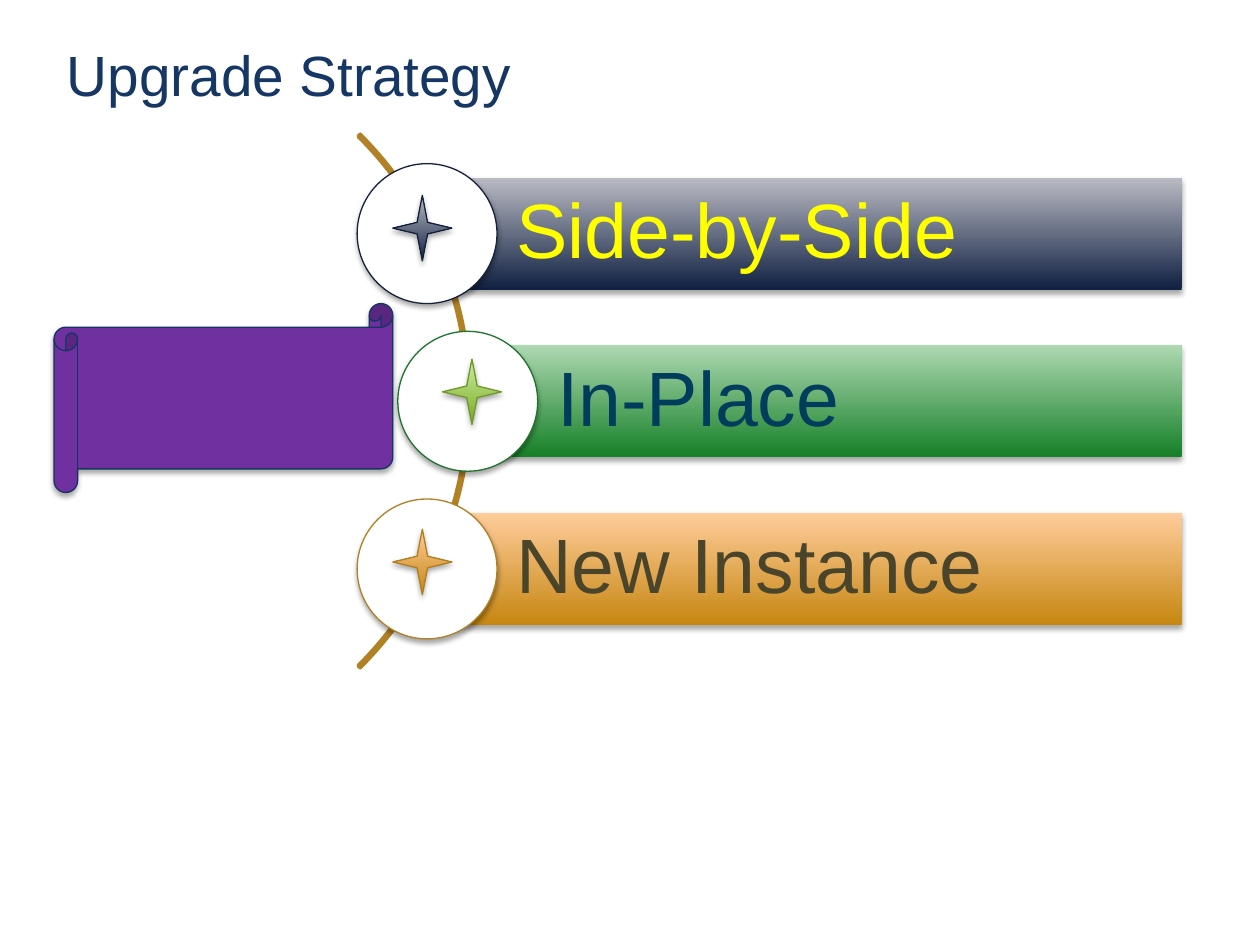
"""Build the Upgrade Strategy slide: three options along an arc."""
import pptx
import pptx.dml.color
import pptx.enum.shapes
import pptx.enum.text
import pptx.oxml
import pptx.oxml.ns
import pptx.util

Cm = pptx.util.Cm
Pt = pptx.util.Pt
RGB = pptx.dml.color.RGBColor.from_string
SHAPE = pptx.enum.shapes.MSO_SHAPE
TEXT = pptx.enum.text

COLORS = {
    "title": "163764", "arc": "B18126", "white": "FFFFFF",
    "scroll": "7030A0", "scroll_line": "143564",
    "navy": "102042", "silver": "BABBC3", "navy_ring": "16223C", "navy_star": "15213C",
    "green": "158027", "mint": "AED8B2", "green_ring": "21732F",
    "lime": "7AA81F", "pale_lime": "CBEFA4", "lime_star": "73972B",
    "amber": "C68711", "peach": "FFCC9B", "amber_star": "B07F22",
    "yellow": "FFFF00", "teal": "003D5D", "olive": "4A452A",
}
SHADOW = (
    f'<a:outerShdw {pptx.oxml.ns.nsdecls("a")} blurRad="{Pt(3.1)}" dist="{Pt(1.8)}" '
    'dir="5400000" rotWithShape="0"><a:srgbClr val="000000">'
    '<a:alpha val="35000"/></a:srgbClr></a:outerShdw>'
)


def add_shape(kind, bounds, fills, line=None, width=0.75, shadow=True):
    """Add a shape with no, one solid or two gradient fill colours."""
    shape = page.shapes.add_shape(kind, *map(Cm, bounds))
    if len(fills) == 2:
        shape.fill.gradient()
        shape.fill.gradient_angle = 90
        for stop, name in zip(shape.fill.gradient_stops, fills):
            stop.color.rgb = RGB(COLORS[name])
    elif fills:
        shape.fill.solid()
        shape.fill.fore_color.rgb = RGB(COLORS[fills[0]])
    else:
        shape.fill.background()
    if line:
        shape.line.color.rgb = RGB(COLORS[line])
        shape.line.width = Pt(width)
    else:
        shape.line.fill.background()
    shape.shadow.inherit = False
    if shadow:
        effects = shape.element.spPr.find(pptx.oxml.ns.qn("a:effectLst"))
        effects.append(pptx.oxml.parse_xml(SHADOW))
    return shape


def write_text(shape, text, size, color, frame_format):
    """Write one left-aligned, vertically centred line of Arial."""
    frame = shape.text_frame
    frame.text = text
    frame.vertical_anchor = TEXT.MSO_ANCHOR.MIDDLE
    for name, value in frame_format.items():
        setattr(frame, name, value)
    para = frame.paragraphs[0]
    para.alignment = TEXT.PP_ALIGN.LEFT
    span = para.runs[0]
    for name, value in {"name": "Arial", "size": Pt(size), "bold": False}.items():
        setattr(span.font, name, value)
    span.font.color.rgb = RGB(COLORS[color])
    return para


deck = pptx.Presentation()
deck.slide_width, deck.slide_height = Cm(25.4), Cm(19.05)
page = deck.slides.add_slide(deck.slide_layouts[5])

title = page.shapes.title
title.left, title.top, title.width, title.height = map(Cm, (1.09, 0.64, 23.24, 1.7))
write_text(title, "Upgrade Strategy", 32.4, "title",
           {"word_wrap": True, "auto_size": TEXT.MSO_AUTO_SIZE.NONE})

arc = add_shape(SHAPE.BLOCK_ARC, (-5.72, 0.48, 15.21, 15.21), (), "arc", 2, shadow=False)
for index, value in enumerate((189, 27, 0.004)):
    arc.adjustments[index] = value

BAR_TOP, BAR_STEP, BAR_HEIGHT, BAR_RIGHT = 3.58, 3.38, 2.26, 23.82
CIRCLE = 2.82
BAR_FORMAT = {"word_wrap": True, "margin_left": Cm(1.8), "margin_right": Cm(0.3),
              "margin_top": Cm(0.3), "margin_bottom": Cm(0.3)}
options = [
    ("Side-by-Side", 8.61, ("navy", "silver"), "yellow", "navy_ring"),
    ("In-Place", 9.43, ("green", "mint"), "teal", "green_ring"),
    ("New Instance", 8.61, ("amber", "peach"), "olive", "arc"),
]
for row, (label, left, fills, text_color, ring) in enumerate(options):
    top = BAR_TOP + row * BAR_STEP
    bar = add_shape(SHAPE.RECTANGLE, (left, top, BAR_RIGHT - left, BAR_HEIGHT), fills)
    para = write_text(bar, label, 44, text_color, BAR_FORMAT)
    para.line_spacing = 0.9
    circle_top = top + (BAR_HEIGHT - CIRCLE) / 2
    add_shape(SHAPE.OVAL, (left - CIRCLE / 2, circle_top, CIRCLE, CIRCLE), ("white",), ring)

add_shape(SHAPE.HORIZONTAL_SCROLL, (1.09, 6.12, 6.83, 3.81), ("scroll",), "scroll_line")

stars = [
    (7.92, 3.94, ("navy", "silver"), "navy_star"),
    (8.92, 7.24, ("lime", "pale_lime"), "lime_star"),
    (7.92, 10.67, ("amber", "peach"), "amber_star"),
]
for left, top, fills, outline in stars:
    add_shape(SHAPE.STAR_4_POINT, (left, top, 1.19, 1.32), fills, outline)

deck.save("out.pptx")
